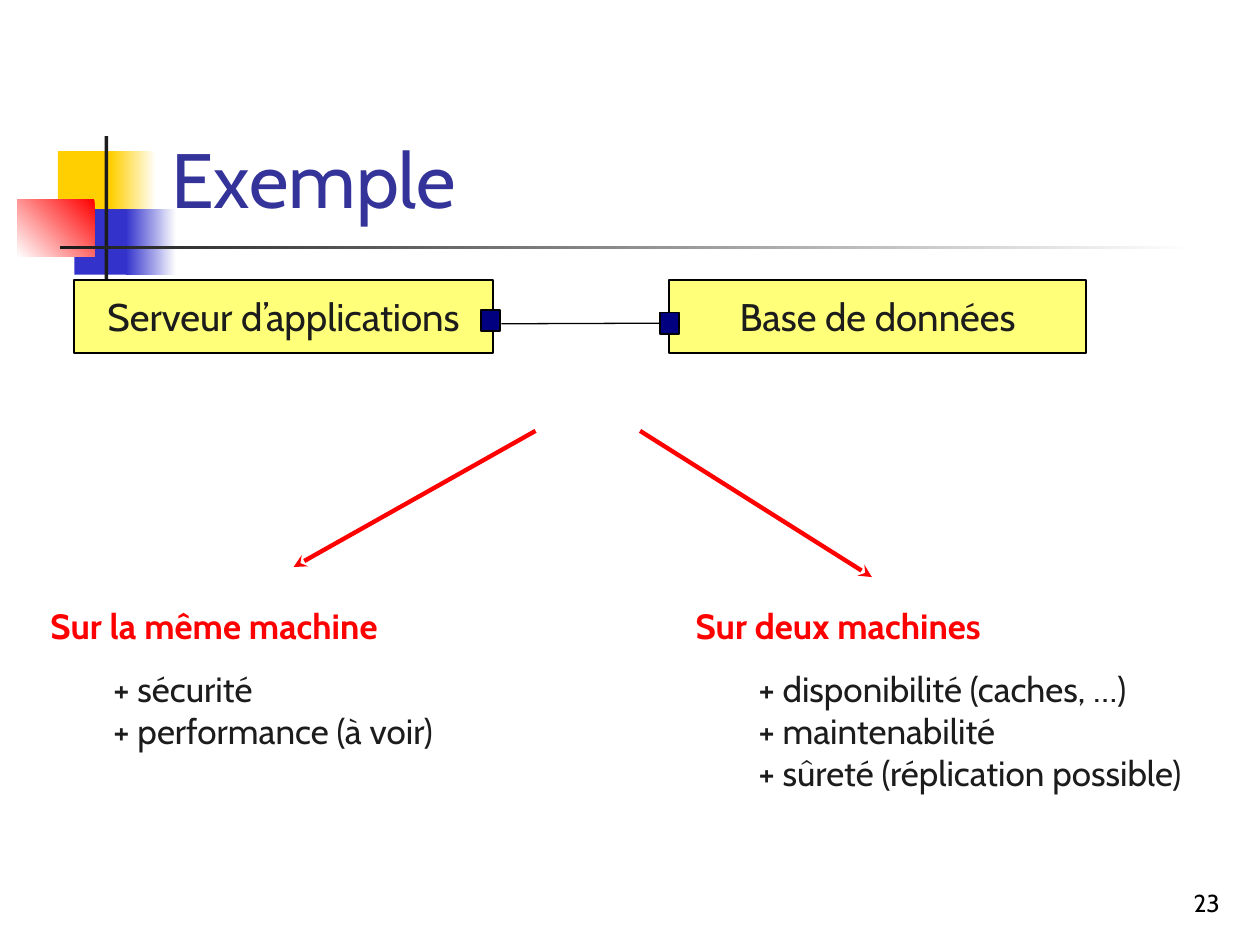
"""Build the slide that compares one-machine and two-machine deployment."""
from dataclasses import dataclass
from typing import Optional

from lxml import etree
from pptx import Presentation
from pptx import util as u
from pptx.dml.color import RGBColor
from pptx.enum import shapes, text
from pptx.oxml import ns

GOLD = RGBColor(0xFF, 0xCF, 0x01)
BLUE = RGBColor(0x33, 0x33, 0xCC)
RED = RGBColor(0xFF, 0x00, 0x00)
WHITE = RGBColor(0xFF, 0xFF, 0xFF)
DARK = RGBColor(0x1C, 0x1C, 0x1C)
BLACK = RGBColor(0x00, 0x00, 0x00)
CREAM = RGBColor(0xFF, 0xFF, 0x79)
NAVY = RGBColor(0x00, 0x00, 0x80)
INDIGO = RGBColor(0x33, 0x33, 0x99)
FONT = "Cabin"
LEFT, MID, RIGHT = text.PP_ALIGN.LEFT, text.PP_ALIGN.CENTER, text.PP_ALIGN.RIGHT


@dataclass
class Box:
    left: float
    top: float
    width: float
    height: float
    fill: RGBColor
    fade: Optional[RGBColor] = None
    angle: int = 180
    edge: bool = False
    label: str = ""


@dataclass
class Line:
    start: tuple
    end: tuple
    color: RGBColor
    width: float
    arrow: bool = False


@dataclass
class Choice:
    left: float
    top: float
    width: float
    height: float
    head: str
    items: tuple


DECOR = (
    Box(0.46, 1.2, 0.48, 0.52, GOLD),
    Box(0.88, 1.2, 0.36, 0.52, WHITE, GOLD),
    Box(0.59, 1.66, 0.46, 0.52, BLUE),
    Box(1, 1.66, 0.4, 0.52, WHITE, BLUE),
    Box(0.14, 1.58, 0.61, 0.46, RED, WHITE, 225),
    Box(0.83, 1.08, 0.03, 1.15, DARK),
    Box(0.48, 1.95, 9, 0.03, WHITE, DARK),
)
NODES = (
    Box(0.59, 2.22, 3.32, 0.58, CREAM, edge=True, label="Serveur d’applications"),
    Box(5.31, 2.22, 3.31, 0.58, CREAM, edge=True, label="Base de données"),
)
PORTS = (
    Box(3.82, 2.46, 0.15, 0.17, NAVY, edge=True),
    Box(5.24, 2.48, 0.15, 0.17, NAVY, edge=True),
)
ARROWS = (
    Line((4.25, 3.42), (2.33, 4.5), RED, 2.5, True),
    Line((5.08, 3.42), (6.92, 4.58), RED, 2.5, True),
)
LINK = Line((3.98, 2.57), (5.24, 2.57), BLACK, 0.75)
CHOICES = (
    Choice(0.3, 4.75, 3.59, 1.27, "Sur la même machine",
           ("+ sécurité", "+ performance (à voir)")),
    Choice(5.42, 4.75, 4.54, 1.6, "Sur deux machines",
           ("+ disponibilité (caches, …)", "+ maintenabilité",
            "+ sûreté (réplication possible)")),
)


def assign(thing, values: dict) -> None:
    """Set every attribute named in the dict."""
    for name, value in values.items():
        setattr(thing, name, value)


def place(shape, left: float, top: float, width: float, height: float) -> None:
    """Move and size a shape in inches."""
    sides = {"left": left, "top": top, "width": width, "height": height}
    assign(shape, {name: u.Inches(size) for name, size in sides.items()})


def frame(shape, anchor, wrap: bool = True):
    """Format the text frame of a shape and return it."""
    body = shape.text_frame
    assign(body, {
        "word_wrap": wrap, "auto_size": text.MSO_AUTO_SIZE.NONE,
        "vertical_anchor": anchor,
        "margin_left": u.Inches(0.1), "margin_right": u.Inches(0.1),
        "margin_top": u.Inches(0.05), "margin_bottom": u.Inches(0.05)})
    return body


def write(para, words: str, size: int, color: RGBColor, align=LEFT,
          bold: bool = False) -> None:
    """Put one formatted run in a paragraph."""
    run = para.add_run()
    run.text = words
    assign(run.font, {"name": FONT, "size": u.Pt(size), "bold": bold})
    run.font.color.rgb = color
    assign(para, {"alignment": align, "space_before": u.Pt(0)})


def draw_box(slide, box: Box):
    """Draw a plain, faded or labelled rectangle."""
    spot = [u.Inches(n) for n in (box.left, box.top, box.width, box.height)]
    shape = slide.shapes.add_shape(shapes.MSO_SHAPE.RECTANGLE, *spot)
    shape.shadow.inherit = False
    if box.fade is None:
        shape.fill.solid()
        shape.fill.fore_color.rgb = box.fill
    else:
        shape.fill.gradient()
        shape.fill.gradient_angle = box.angle
        for stop, color in zip(shape.fill.gradient_stops, (box.fill, box.fade)):
            stop.color.rgb = color
    if box.edge:
        shape.line.color.rgb = BLACK
        shape.line.width = u.Pt(1)
    else:
        shape.line.fill.background()
    if box.label:
        body = frame(shape, text.MSO_ANCHOR.MIDDLE, False)
        write(body.paragraphs[0], box.label, 22, DARK, MID)
    return shape


def draw_line(slide, line: Line):
    """Draw a straight line, with an arrowhead if asked."""
    ends = [u.Inches(n) for n in line.start + line.end]
    wire = slide.shapes.add_connector(shapes.MSO_CONNECTOR.STRAIGHT, *ends)
    wire.line.color.rgb = line.color
    wire.line.width = u.Pt(line.width)
    if line.arrow:
        etree.SubElement(wire.line._get_or_add_ln(), ns.qn("a:tailEnd"), type="stealth")
    etree.SubElement(wire._element.spPr, ns.qn("a:effectLst"))
    return wire


def fill_list(holder, choice: Choice) -> None:
    """Write a red heading and its indented points."""
    place(holder, choice.left, choice.top, choice.width, choice.height)
    body = frame(holder, text.MSO_ANCHOR.TOP)
    for rank, words in enumerate((choice.head,) + choice.items):
        para = body.add_paragraph() if rank else body.paragraphs[0]
        para.level = min(rank, 1)
        props = para._p.get_or_add_pPr()
        props.set("marL", str(u.Inches(0.5) if rank else 0))
        props.set("indent", "0")
        etree.SubElement(props, ns.qn("a:buNone"))
        write(para, words, 20, DARK if rank else RED, bold=not rank)
        if rank == 1:
            para.space_before = u.Pt(12)


def main() -> None:
    """Build and save the slide."""
    deck = Presentation()
    assign(deck, {"slide_width": u.Inches(10), "slide_height": u.Inches(7.5)})
    slide = deck.slides.add_slide(deck.slide_layouts[3])
    for box in DECOR:
        draw_box(slide, box)
    for line in ARROWS:
        draw_line(slide, line)
    for box in NODES:
        draw_box(slide, box)
    ports = [draw_box(slide, box) for box in PORTS]
    draw_line(slide, LINK).end_connect(ports[1], 1)
    for slot, choice in enumerate(CHOICES, 1):
        fill_list(slide.placeholders[slot], choice)
    title = slide.shapes.title
    place(title, 1.26, 0.23, 8.52, 1.6)
    body = frame(title, text.MSO_ANCHOR.BOTTOM)
    write(body.paragraphs[0], "Exemple", 44, INDIGO)
    spot = [u.Inches(n) for n in (7.7, 6.83, 2.08, 0.5)]
    body = frame(slide.shapes.add_textbox(*spot), text.MSO_ANCHOR.BOTTOM)
    write(body.paragraphs[0], "23", 14, BLACK, RIGHT)
    deck.save("out.pptx")


if __name__ == "__main__":
    main()
